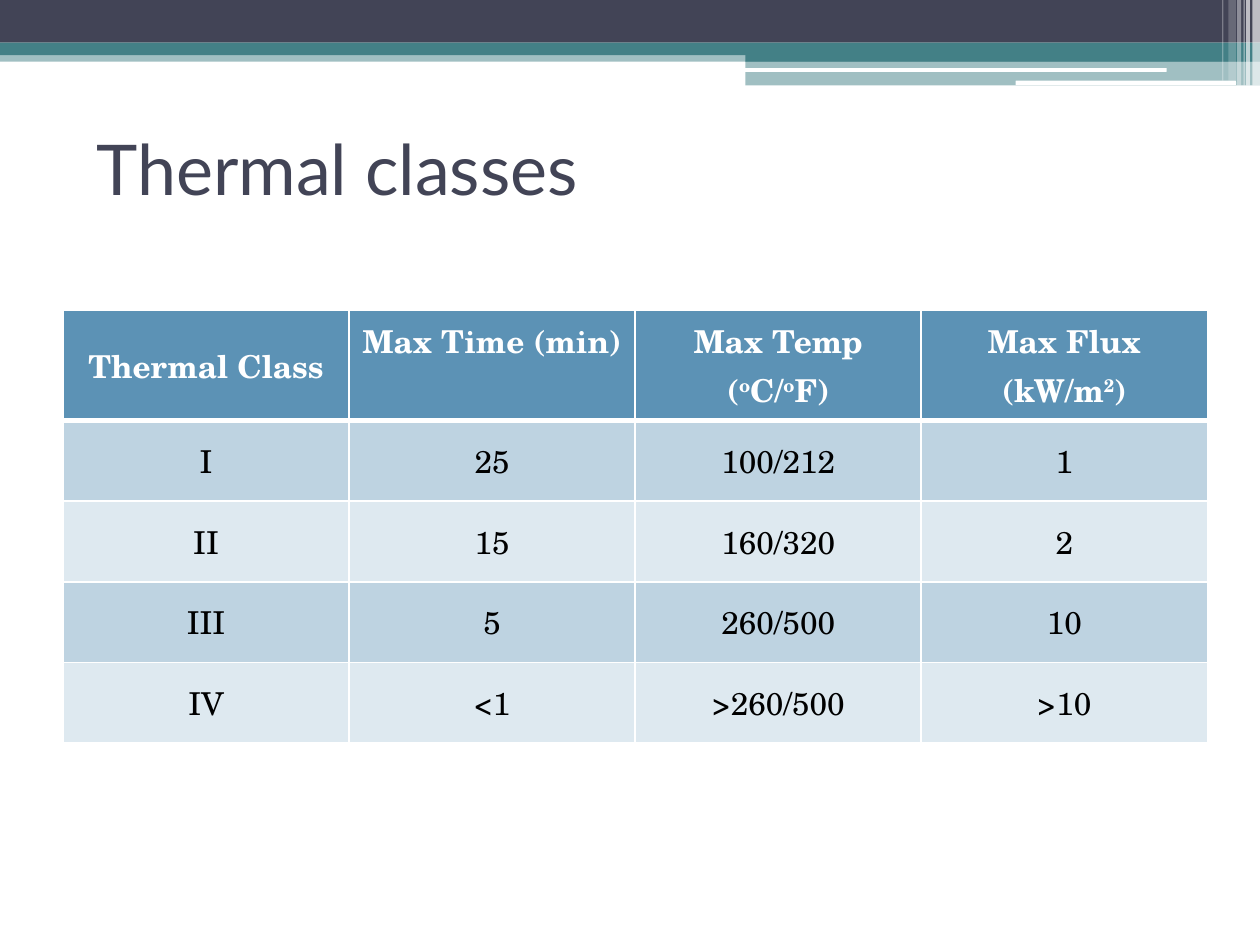
"""Build the slide on thermal classes."""
from lxml.etree import SubElement
from pptx import Presentation
from pptx.dml.color import RGBColor
from pptx.enum.shapes import MSO_SHAPE
from pptx.enum.text import MSO_ANCHOR, PP_ALIGN
from pptx.oxml.ns import qn
from pptx.util import Pt

DARK, TEAL, WHITE, BLACK = "424456", "438086", "FFFFFF", "000000"
HEADER, BANDS = "5C92B5", ("BED3E1", "DEE9F0")
BARS = [
    (0, 28.8, 720, 6.5, TEAL, 50),
    (0, 0, 720, 24.4, DARK, 100),
    (0, 24.4, 720, 7.2, TEAL, 100),
    (425.9, 28.1, 294.1, 7.2, TEAL, 100),
    (425.9, 34.6, 294.1, 14.2, TEAL, 50),
]
HIGHLIGHTS = [(425.5, 38.9, 241.2, 2.2), (580.3, 46.1, 126, 2.6)]
STRIPES = [
    (715.7, 4.3, 49, 65),
    (712.1, 2.2, 49, 65),
    (710.6, 0.72, 49, 60),
    (707, 2.2, 49, 40),
    (702, 4.3, 46.1, 20),
    (698.4, 0.72, 46.1, 30),
]
ROWS = [
    ("Thermal Class", "Max Time (min)", "Max Temp (^o^C/^o^F)", "Max Flux\n(kW/m^2^)"),
    ("I", "25", "100/212", "1"),
    ("II", "15", "160/320", "2"),
    ("III", "5", "260/500", "10"),
    ("IV", "<1", ">260/500", ">10"),
]


def rgb(value):
    return RGBColor.from_string(value)


def write(tf, text, font, size, color, bold=False, align=PP_ALIGN.LEFT):
    """Write one paragraph a line, with text between carets raised."""
    for i, line in enumerate(text.split("\n")):
        p = tf.add_paragraph() if i else tf.paragraphs[0]
        p.alignment = align
        for j, part in enumerate(line.split("^")):
            r = p.add_run()
            r.text = part
            r.font.name, r.font.size, r.font.bold = font, Pt(size), bold
            r.font.color.rgb = rgb(color)
            if j % 2:
                r._r.get_or_add_rPr().set("baseline", "30000")


def set_border(cell, side, width):
    ln = SubElement(cell._tc.get_or_add_tcPr(), qn(f"a:ln{side}"), w=str(Pt(width)))
    SubElement(SubElement(ln, qn("a:solidFill")), qn("a:srgbClr"), val=WHITE)


class Deck:
    """Holds the fonts and the current slide."""

    title_font, body_font = "Lato", "TeX Gyre Schola"

    def __init__(self, prs):
        self.s = prs.slides.add_slide(prs.slide_layouts[5])

    def bar(self, x, y, w, h, color, opacity=100, shape=MSO_SHAPE.RECTANGLE):
        sp = self.s.shapes.add_shape(shape, Pt(x), Pt(y), Pt(w), Pt(h))
        sp.shadow.inherit = False
        sp.line.fill.background()
        sp.fill.solid()
        sp.fill.fore_color.rgb = rgb(color)
        if opacity < 100:
            clr = sp._element.spPr.find(f"{qn('a:solidFill')}/{qn('a:srgbClr')}")
            SubElement(clr, qn("a:alpha"), val=str(opacity * 1000))

    def title(self, text, x, y, w, h):
        sp = self.s.shapes.title
        sp.left, sp.top, sp.width, sp.height = Pt(x), Pt(y), Pt(w), Pt(h)
        sp.text_frame.vertical_anchor = MSO_ANCHOR.MIDDLE
        write(sp.text_frame, text, font=self.title_font, size=40, color=DARK)

    def table(self, rows, x, y, w, row_h):
        frame = self.s.shapes.add_table(
            len(rows), len(rows[0]), Pt(x), Pt(y), Pt(w), Pt(row_h * len(rows))
        )
        for i, row in enumerate(rows):
            for j, text in enumerate(row):
                self.cell(frame.table.cell(i, j), text, i, j)

    def cell(self, cell, text, i, j):
        head = i == 0
        top_aligned = head and j > 0
        cell.vertical_anchor = MSO_ANCHOR.TOP if top_aligned else MSO_ANCHOR.MIDDLE
        for side in "LRTB":
            thick = (i, side) in ((0, "B"), (1, "T"))
            set_border(cell, side, 3 if thick else 1)
        cell.fill.solid()
        cell.fill.fore_color.rgb = rgb(HEADER if head else BANDS[(i - 1) % 2])
        write(cell.text_frame, text, font=self.body_font, size=18, bold=head,
              color=WHITE if head else BLACK, align=PP_ALIGN.CENTER)


def main():
    prs = Presentation()
    prs.slide_width, prs.slide_height = Pt(720), Pt(540)
    deck = Deck(prs)
    for bar in BARS:
        deck.bar(*bar)
    for box in HIGHLIGHTS:
        deck.bar(*box, WHITE, shape=MSO_SHAPE.ROUNDED_RECTANGLE)
    for x, w, h, opacity in STRIPES:
        deck.bar(x, 0, w, h, WHITE, opacity)
    deck.title("Thermal classes", 48, 54, 648, 84)
    deck.table(ROWS, 36, 177.4, 654, 46.1)
    prs.save("out.pptx")


if __name__ == "__main__":
    main()
